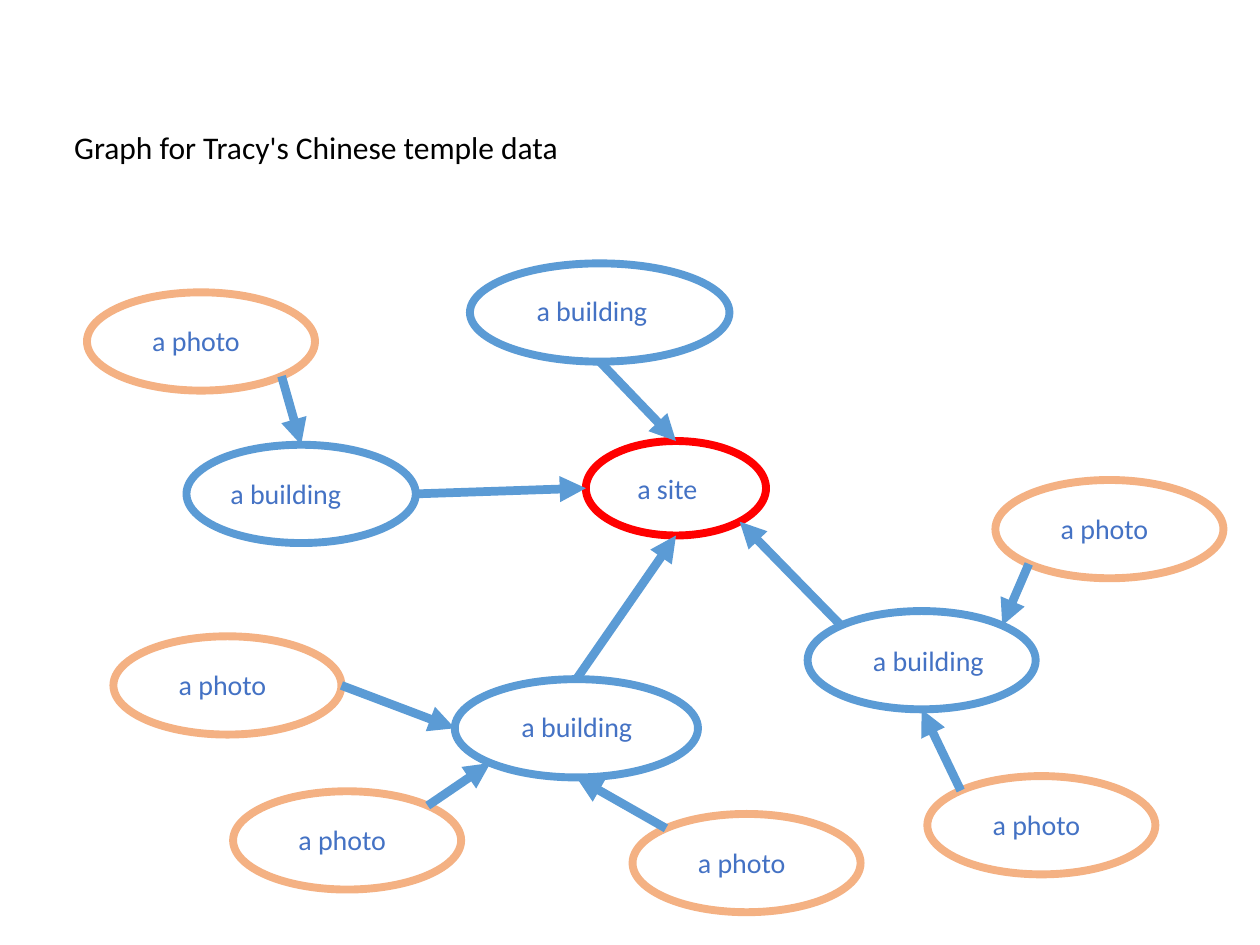
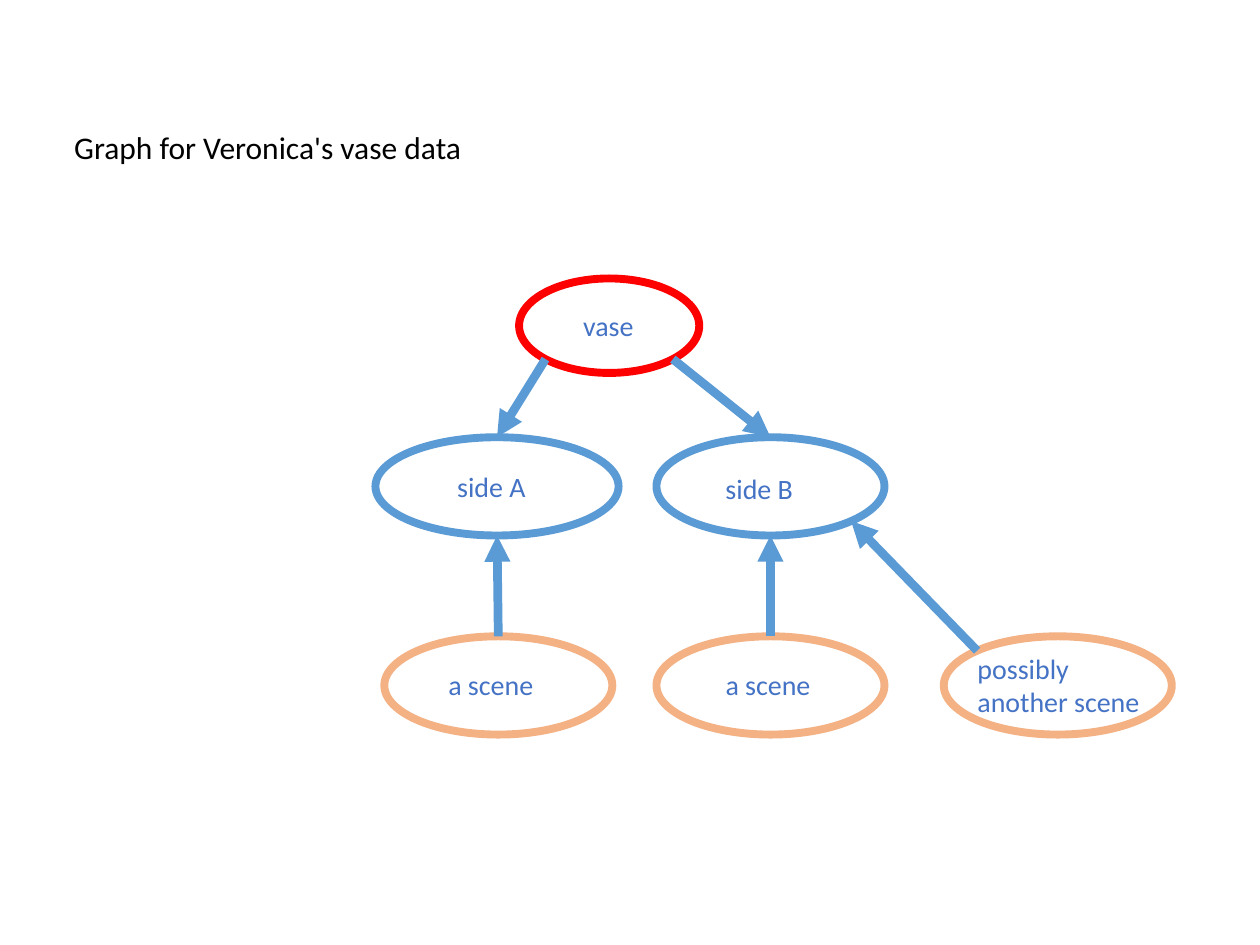
"""Build two graph slides: temple photos and buildings, and the sides of a vase."""
from dataclasses import dataclass
from enum import Enum
from math import sqrt

from lxml import etree
from pptx import Presentation
from pptx.dml.color import RGBColor
from pptx.enum.shapes import MSO_CONNECTOR, MSO_SHAPE
from pptx.enum.text import MSO_AUTO_SIZE, PP_ALIGN
from pptx.oxml.ns import qn
from pptx.slide import Slide
from pptx.util import Inches, Pt

ELLIPSE = MSO_SHAPE.OVAL
STRAIGHT = MSO_CONNECTOR.STRAIGHT
FIT_TEXT = MSO_AUTO_SIZE.SHAPE_TO_FIT_TEXT
LEFT_ALIGN = PP_ALIGN.LEFT

RED = RGBColor(0xFF, 0x00, 0x00)
BLUE = RGBColor(0x5B, 0x9B, 0xD5)
ORANGE = RGBColor(0xF4, 0xB1, 0x83)
LABEL_BLUE = RGBColor(0x44, 0x72, 0xC4)
BLACK = RGBColor(0x00, 0x00, 0x00)

SLIDE_WIDTH, SLIDE_HEIGHT = Inches(10), Inches(7.5)
COLUMNS, ROWS = 100, 75
COLUMN, ROW = SLIDE_WIDTH / COLUMNS, SLIDE_HEIGHT / ROWS
TITLE_LEFT, TITLE_TOP, TITLE_HEIGHT = 4.9, 9.7, 4
LABEL_HEIGHT, EXTRA_LINE_HEIGHT = 3.7, 2.7
TITLE_FONT = {"name": "Calibri", "size": Pt(18)}
LABEL_FONT = {"name": "Calibri", "size": Pt(16)}
FRAME_FORMAT = {"word_wrap": False, "auto_size": FIT_TEXT}
NODE_LINE, LINK_LINE = Pt(4.5), Pt(5)

LABEL_WIDTHS = {
    "a site": 6.8, "a building": 10.9, "a photo": 9.1, "vase": 6.1,
    "side A": 7.5, "side B": 7.4, "a scene": 8.8, "possibly\nanother scene": 15,
}


@dataclass(frozen=True)
class Role:
    """Outline colour and usual size of one level of a graph."""
    color: RGBColor
    width: float
    height: float


ROOT = Role(RED, 14.3, 7.5)
PART = Role(BLUE, 18.1, 7.8)
VIEW = Role(ORANGE, 18.1, 7.8)


class Anchor(Enum):
    """Horizontal and vertical direction from the centre of an ellipse."""
    TOP = (0, -1)
    BOTTOM = (0, 1)
    LEFT = (-1, 0)
    RIGHT = (1, 0)
    TOP_LEFT = (-1 / sqrt(2), -1 / sqrt(2))
    TOP_RIGHT = (1 / sqrt(2), -1 / sqrt(2))
    BOTTOM_LEFT = (-1 / sqrt(2), 1 / sqrt(2))
    BOTTOM_RIGHT = (1 / sqrt(2), 1 / sqrt(2))


@dataclass(frozen=True)
class Node:
    """Ellipse in grid units, with its label offset from its corner."""
    role: Role
    left: float
    top: float
    label: str
    label_dx: float = 4.2
    label_dy: float = 2
    own_width: float = 0

    @property
    def width(self) -> float:
        """Return the node's own width or that of its role."""
        return self.own_width or self.role.width

    def at(self, anchor: Anchor) -> tuple[float, float]:
        """Return the grid point of an anchor on the outline."""
        dx, dy = anchor.value
        return (self.left + self.width * (1 + dx) / 2,
                self.top + self.role.height * (1 + dy) / 2)


@dataclass(frozen=True)
class Link:
    """Arrow from an anchor of one node to an anchor of another."""
    source: str
    leave: Anchor
    target: str
    arrive: Anchor


@dataclass(frozen=True)
class Graph:
    """Title, nodes and links of one slide."""
    title: str
    title_width: float
    nodes: dict[str, Node]
    links: list[Link]


TEMPLE = Graph(
    "Graph for Tracy's Chinese temple data", 40.9,
    {
        "site": Node(ROOT, 46.5, 35, "a site", 3.1, 1.9),
        "north": Node(PART, 37.3, 20.9, "a building", 4.3, 1.9, 20.6),
        "west": Node(PART, 14.8, 35.3, "a building", 2.5, 2, 18.2),
        "south": Node(PART, 36.1, 53.9, "a building", 4.3, 1.9, 19.3),
        "east": Node(PART, 64.1, 48.5, "a building", 4.2, 2.1),
        "west photo": Node(VIEW, 6.9, 23.2, "a photo"),
        "south photo 1": Node(VIEW, 9, 50.5, "a photo"),
        "south photo 2": Node(VIEW, 18.5, 62.8, "a photo"),
        "south photo 3": Node(VIEW, 50.2, 64.6, "a photo"),
        "east photo 1": Node(VIEW, 79, 38.1, "a photo"),
        "east photo 2": Node(VIEW, 73.6, 61.6, "a photo"),
    },
    [
        Link("north", Anchor.BOTTOM, "site", Anchor.TOP),
        Link("west", Anchor.RIGHT, "site", Anchor.LEFT),
        Link("south", Anchor.TOP, "site", Anchor.BOTTOM),
        Link("east", Anchor.TOP_LEFT, "site", Anchor.BOTTOM_RIGHT),
        Link("west photo", Anchor.BOTTOM_RIGHT, "west", Anchor.TOP),
        Link("south photo 1", Anchor.RIGHT, "south", Anchor.LEFT),
        Link("south photo 2", Anchor.TOP_RIGHT, "south", Anchor.BOTTOM_LEFT),
        Link("south photo 3", Anchor.TOP_LEFT, "south", Anchor.BOTTOM),
        Link("east photo 1", Anchor.BOTTOM_LEFT, "east", Anchor.TOP_RIGHT),
        Link("east photo 2", Anchor.TOP_LEFT, "east", Anchor.BOTTOM),
    ],
)

VASE = Graph(
    "Graph for Veronica's vase data", 33.1,
    {
        "vase": Node(ROOT, 41.2, 22.1, "vase", 4.1, 1.9),
        "side A": Node(PART, 29.8, 34.7, "side A", 5.5, 2.1, 19.3),
        "side B": Node(PART, 52.1, 34.7, "side B", 4.5, 2.2),
        "scene A": Node(VIEW, 30.5, 50.5, "a scene", 4.1),
        "scene B": Node(VIEW, 52.1, 50.5, "a scene", 4.5),
        "other scene": Node(VIEW, 74.9, 50.5, "possibly\nanother scene", 1.7, 0.7),
    },
    [
        Link("vase", Anchor.BOTTOM_LEFT, "side A", Anchor.TOP),
        Link("vase", Anchor.BOTTOM_RIGHT, "side B", Anchor.TOP),
        Link("scene A", Anchor.TOP, "side A", Anchor.BOTTOM),
        Link("scene B", Anchor.TOP, "side B", Anchor.BOTTOM),
        Link("other scene", Anchor.TOP_LEFT, "side B", Anchor.BOTTOM_RIGHT),
    ],
)


def to_emu(*lengths: float) -> list[int]:
    """Turn alternating column and row counts into slide lengths."""
    return [round(length * (ROW if index % 2 else COLUMN))
            for index, length in enumerate(lengths)]


def apply_format(target: object, values: dict[str, object]) -> None:
    """Set each named attribute of the target."""
    for name, value in values.items():
        setattr(target, name, value)


def draw_text(slide: Slide, text: str, box: tuple[float, float, float, float],
              font: dict[str, object], color: RGBColor) -> None:
    """Write unwrapped, left-aligned text in a box of grid units."""
    frame = slide.shapes.add_textbox(*to_emu(*box)).text_frame
    frame.text = text
    apply_format(frame, FRAME_FORMAT)
    for paragraph in frame.paragraphs:
        paragraph.alignment = LEFT_ALIGN
        for run in paragraph.runs:
            apply_format(run.font, font)
            run.font.color.rgb = color


def draw_node(slide: Slide, node: Node) -> None:
    """Draw the hollow ellipse of a node."""
    ellipse = slide.shapes.add_shape(
        ELLIPSE, *to_emu(node.left, node.top, node.width, node.role.height))
    ellipse.shadow.inherit = False
    ellipse.fill.background()
    ellipse.line.color.rgb = node.role.color
    ellipse.line.width = NODE_LINE


def draw_label(slide: Slide, node: Node) -> None:
    """Write the label of a node."""
    height = LABEL_HEIGHT + EXTRA_LINE_HEIGHT * node.label.count("\n")
    box = (node.left + node.label_dx, node.top + node.label_dy,
           LABEL_WIDTHS[node.label], height)
    draw_text(slide, node.label, box, LABEL_FONT, LABEL_BLUE)


def draw_link(slide: Slide, nodes: dict[str, Node], link: Link) -> None:
    """Draw the arrow of a link."""
    start = nodes[link.source].at(link.leave)
    end = nodes[link.target].at(link.arrive)
    arrow = slide.shapes.add_connector(STRAIGHT, *to_emu(*start, *end))
    arrow.line.color.rgb = BLUE
    arrow.line.width = LINK_LINE
    properties = arrow.element.spPr
    etree.SubElement(properties.find(qn("a:ln")), qn("a:tailEnd"), type="triangle")
    etree.SubElement(properties, qn("a:effectLst"))


def draw_graph(presentation: Presentation, graph: Graph) -> None:
    """Add one slide with the title, nodes, links and labels of a graph."""
    slide = presentation.slides.add_slide(presentation.slide_layouts[6])
    title_box = (TITLE_LEFT, TITLE_TOP, graph.title_width, TITLE_HEIGHT)
    draw_text(slide, graph.title, title_box, TITLE_FONT, BLACK)
    for node in graph.nodes.values():
        draw_node(slide, node)
    for link in graph.links:
        draw_link(slide, graph.nodes, link)
    for node in graph.nodes.values():
        draw_label(slide, node)


def main() -> None:
    """Build and save the presentation."""
    presentation = Presentation()
    apply_format(presentation, {"slide_width": SLIDE_WIDTH, "slide_height": SLIDE_HEIGHT})
    for graph in (TEMPLE, VASE):
        draw_graph(presentation, graph)
    presentation.save("out.pptx")


main()
